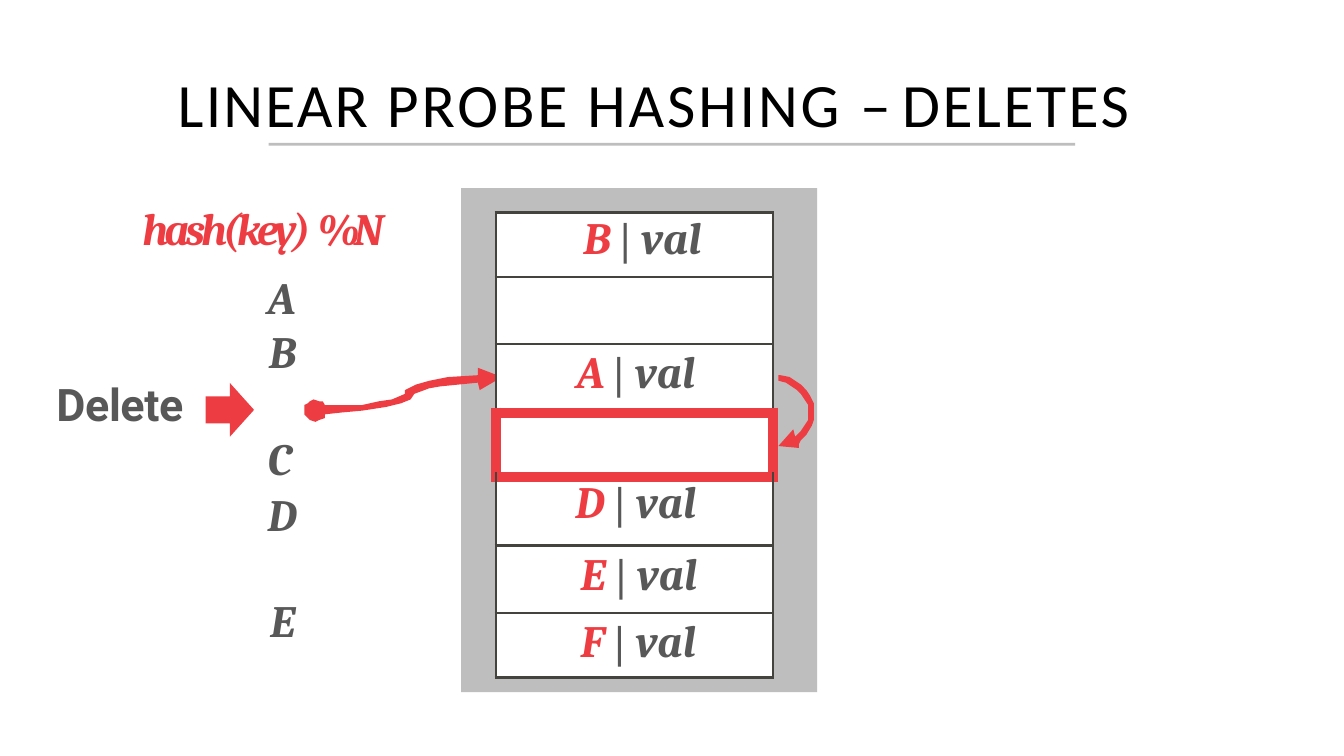
import pptx
import pptx.util
import pptx.dml.color
import pptx.enum.shapes
import pptx.enum.text
from lxml import etree

Pt = pptx.util.Pt
RGB = pptx.dml.color.RGBColor
SHAPES = pptx.enum.shapes.MSO_SHAPE

RED = RGB(0xEE, 0x3D, 0x42)
DARK = RGB(0x58, 0x58, 0x58)
GRAY = RGB(0xBE, 0xBE, 0xBE)
GRID = RGB(0x44, 0x43, 0x3E)
WHITE = RGB(255, 255, 255)
BLACK = RGB(0, 0, 0)

KEY = {"size": Pt(24), "name": "Cambria", "bold": True, "italic": True}
RED_KEY = KEY | {"color": RED}
DARK_KEY = KEY | {"color": DARK}
BAR = DARK_KEY | {"name": "Times New Roman", "italic": False}
ACTION = DARK_KEY | {"name": "Roboto", "italic": False}
TITLE = {"size": Pt(33), "name": "Calibri", "bold": False, "color": BLACK}

# Runs are (text, format, letter spacing in points)
TITLE_RUNS = [("LINEAR ", TITLE, 1.2), ("PROBE HASHING ", TITLE, 1.6),
              ("– ", TITLE, -1.4), ("DELETES", TITLE, 1.4)]

# (indent, space before, runs)
KEY_LINES = [
    (46.8, 0, [("hash(key) ", RED_KEY, -2.1), ("% ", RED_KEY, -8.7), ("N", RED_KEY, -0.1)]),
    (113.8, 8.3, [("A", DARK_KEY, 0.1)]),
    (114.5, 0, [("B", DARK_KEY, -1.9)]),
    (0.7, 0, [("Delete", ACTION, -0.2)]),
    (113.8, 0, [("C", DARK_KEY, 0.5)]),
    (113.8, 0.9, [("D", DARK_KEY, -0.2)]),
    (115.2, 28.2, [("E", DARK_KEY, -0.8)]),
]

# (key, row height, indent, top margin)
SLOTS = [
    ("B", 34.6, 46.8, 0.7),
    ("", 36, 0, 0),
    ("A", 36.7, 43.2, 2.2),
    ("", 34.6, 0, 0),
    ("D", 36.7, 42.5, 0.7),
    ("E", 36, 45.4, 2.2),
    ("F", 34.6, 45.4, 2.2),
]
DELETED_SLOT = 3

PROBE_ARROW = [
    (174.2, 221.8), (173.5, 223.9), (171.4, 225.4), (169.2, 226.1), (166.3, 225.4),
    (164.9, 223.9), (163.4, 222.5), (162.7, 219.6), (163.4, 217.4), (164.9, 216),
    (166.3, 214.6), (168.5, 213.8), (171.4, 214.6), (172.8, 215.3), (174.2, 217.4),
    (182.9, 217.4), (193.7, 216.7), (203, 215.3), (210.2, 213.8), (216.7, 211),
    (217.4, 208.8), (223.2, 205.9), (230.4, 203.8), (239.8, 202.3), (256.3, 200.9),
    (256.3, 197.3), (268.6, 202.3), (257, 208.8), (256.3, 205.2), (246.2, 205.9),
    (236.2, 206.6), (229.7, 208.1), (221.8, 211), (219.6, 213.8), (215.3, 216),
    (206.6, 218.2), (193.7, 220.3), (182.9, 221),
]
NEXT_SLOT_ARROW = [
    (416.9, 200.9), (418.3, 200.9), (422.6, 201.6), (425.5, 203.8), (429.1, 205.9),
    (432, 208.8), (434.2, 211.7), (435.6, 216), (436.3, 219.6), (436.3, 224.6),
    (434.9, 228.2), (432, 233.3), (429.1, 236.2), (427.7, 237.6), (428.4, 240.5),
    (416.9, 239), (424.8, 230.4), (426.2, 234), (429.1, 231.1), (431.3, 228.2),
    (432.7, 224.6), (433.4, 221), (432.7, 216.7), (431.3, 213.8), (429.1, 211),
    (427, 208.8), (424.1, 206.6), (421.2, 205.2), (416.9, 204.5),
]


def paint(shape, color):
    shape.shadow.inherit = False
    shape.fill.solid()
    shape.fill.fore_color.rgb = color
    shape.line.fill.background()


def add_block(slide, kind, box, color):
    paint(slide.shapes.add_shape(kind, *map(Pt, box)), color)


def add_outline(slide, points, color):
    builder = slide.shapes.build_freeform(*points[0], scale=Pt(1))
    builder.add_line_segments(points[1:], close=True)
    paint(builder.convert_to_shape(), color)


def write(paragraph, runs, indent=0, before=0):
    paragraph.alignment = pptx.enum.text.PP_ALIGN.LEFT
    paragraph.space_before = Pt(before)
    properties = paragraph._p.get_or_add_pPr()
    properties.set("marL", str(Pt(indent)))
    properties.set("indent", "0")
    for text, style, spacing in runs:
        run = paragraph.add_run()
        run.text = text
        for name, value in style.items():
            if name == "color":
                run.font.color.rgb = value
            else:
                setattr(run.font, name, value)
        run._r.get_or_add_rPr().set("spc", str(round(spacing * 100)))


def prepare(frame, top):
    layout = {"margin_left": 0, "margin_right": 0, "margin_top": Pt(top),
              "margin_bottom": 0, "word_wrap": True,
              "auto_size": pptx.enum.text.MSO_AUTO_SIZE.SHAPE_TO_FIT_TEXT}
    for name, value in layout.items():
        setattr(frame, name, value)


def add_border(cell, side, color, width):
    namespace = "{http://schemas.openxmlformats.org/drawingml/2006/main}"
    line = etree.SubElement(cell._tc.get_or_add_tcPr(), namespace + side, w=str(Pt(width)))
    fill = etree.SubElement(line, namespace + "solidFill")
    etree.SubElement(fill, namespace + "srgbClr", val=str(color))


def add_slots(slide):
    heights = [height for _, height, _, _ in SLOTS]
    table = slide.shapes.add_table(len(SLOTS), 1, Pt(265.7), Pt(113.8),
                                   Pt(148.3), Pt(sum(heights))).table
    table.first_row = table.horz_banding = False
    for row, (key, height, indent, top) in enumerate(SLOTS):
        table.rows[row].height = Pt(height)
        cell = table.cell(row, 0)
        margins = {"margin_left": 0, "margin_right": 0, "margin_top": Pt(top), "margin_bottom": 0}
        for name, value in margins.items():
            setattr(cell, name, value)
        if key:
            runs = [(key + " ", RED_KEY, 0), ("| ", BAR, 0), ("val", DARK_KEY, 0)]
            write(cell.text_frame.paragraphs[0], runs, indent)
        touching = {"lnL": [row], "lnR": [row], "lnT": [row, row - 1], "lnB": [row, row + 1]}
        for side, rows in touching.items():
            add_border(cell, side, *((RED, 6) if DELETED_SLOT in rows else (GRID, 1.5)))
        cell.fill.solid()
        cell.fill.fore_color.rgb = WHITE


def main():
    deck = pptx.Presentation()
    deck.slide_width, deck.slide_height = Pt(720), Pt(405)
    slide = deck.slides.add_slide(deck.slide_layouts[5])

    title = slide.shapes.title
    title.left, title.top, title.width, title.height = map(Pt, (94.3, 38.2, 528.5, 33.1))
    prepare(title.text_frame, 0.9)
    title.text_frame.vertical_anchor = pptx.enum.text.MSO_ANCHOR.MIDDLE
    write(title.text_frame.paragraphs[0], TITLE_RUNS, 0.9)

    add_block(slide, SHAPES.RECTANGLE, (144, 76.5, 432, 1.5), GRAY)
    add_block(slide, SHAPES.RECTANGLE, (247, 100.8, 190.8, 270), GRAY)
    add_outline(slide, PROBE_ARROW, RED)
    add_outline(slide, NEXT_SLOT_ARROW, RED)
    add_slots(slide)
    add_block(slide, SHAPES.RIGHT_ARROW, (110.2, 205.2, 25.9, 28.8), RED)

    keys = slide.shapes.add_textbox(*map(Pt, (29.5, 97.9, 176.4, 219.6))).text_frame
    prepare(keys, 9.4)
    for position, (indent, before, runs) in enumerate(KEY_LINES):
        paragraph = keys.add_paragraph() if position else keys.paragraphs[0]
        write(paragraph, runs, indent, before)

    deck.save("out.pptx")


if __name__ == "__main__":
    main()
